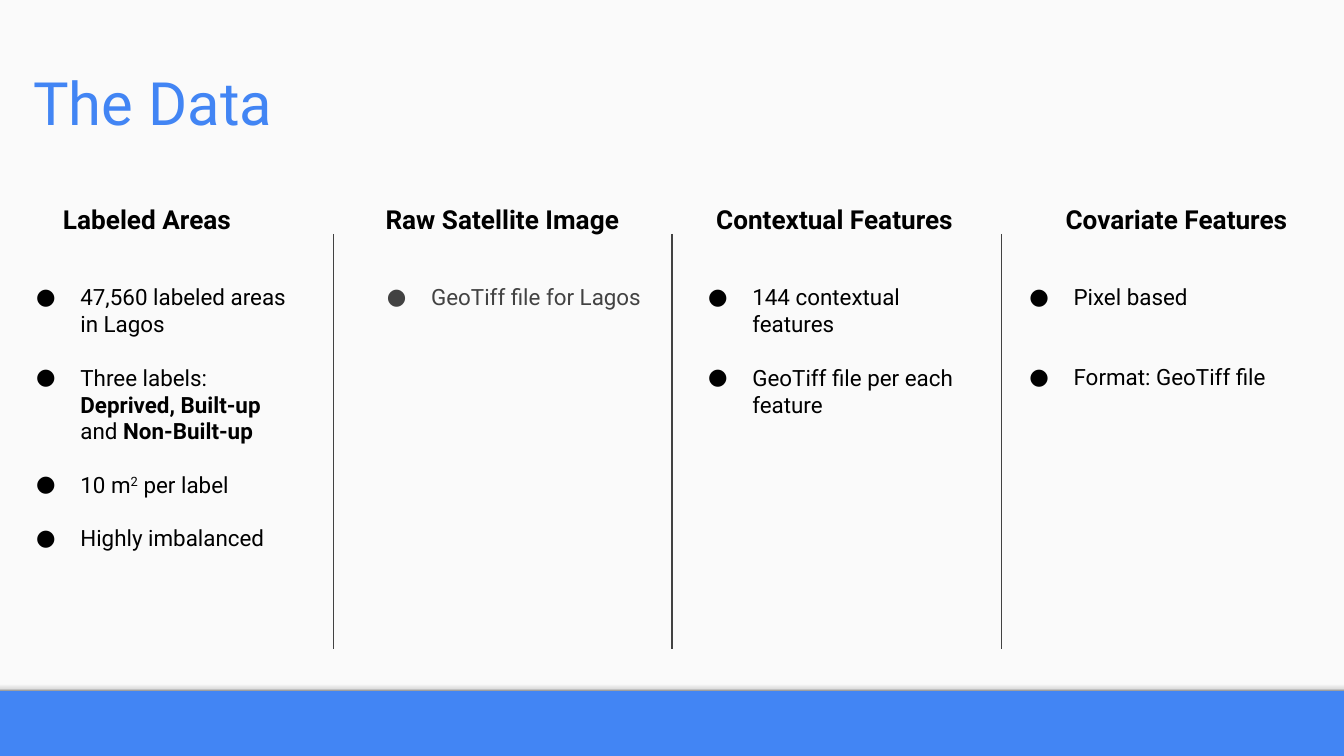
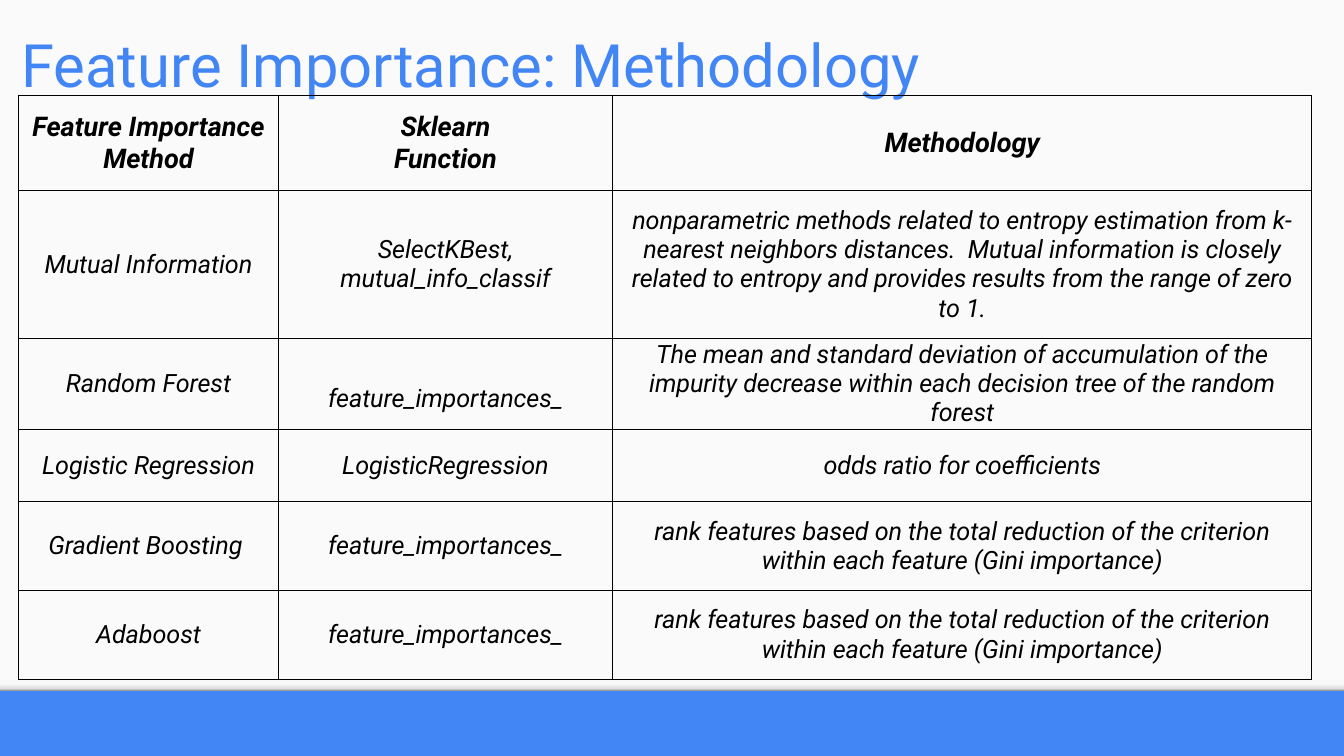
from lxml.etree import SubElement
from pptx import Presentation
from pptx.dml.color import RGBColor
from pptx.enum.shapes import MSO_CONNECTOR, MSO_SHAPE
from pptx.enum.text import MSO_ANCHOR, PP_ALIGN
from pptx.oxml import parse_xml
from pptx.oxml.ns import nsdecls, qn
from pptx.util import Inches, Pt

FONT = "Roboto"
BLUE = RGBColor(0x42, 0x85, 0xF4)
PAPER = RGBColor(0xFA, 0xFA, 0xFA)
BLACK = RGBColor(0, 0, 0)
GRAY = RGBColor(0x42, 0x42, 0x42)
SHADE_STOPS = [(0, "F9F9F9"), (36, "F9F9F9"), (80, "DEDEDE"), (100, "999999")]
SLIDE_WIDTH = 10
SLIDE_HEIGHT = SLIDE_WIDTH * 9 / 16
LIST_SIZE = 12
LINE_GAP = 14.2

DIVIDERS = [2.48, 5, 7.45]
COLUMNS = [
    ("Labeled Areas", 0.37, 1.8, 0, 2.63, BLACK, LINE_GAP, [
        [("47,560 labeled areas in Lagos", "")],
        [("Three labels: ", ""), ("Deprived, Built-up ", "bold"),
         ("and", ""), (" Non-Built-up", "bold")],
        [("10 m", ""), ("2", "super"), (" per label", "")],
        [("Highly imbalanced", "")],
    ]),
    ("Raw Satellite Image", 2.77, 1.99, 2.61, 0.81, GRAY, LINE_GAP, [
        [("GeoTiff file for Lagos", "")],
    ]),
    ("Contextual Features", 5.23, 1.99, 5, 1.62, BLACK, LINE_GAP, [
        [("144 contextual features", "")],
        [("GeoTiff file per each feature", "")],
    ]),
    ("Covariate Features", 7.83, 1.99, 7.39, 1.41, BLACK, 2 * LINE_GAP, [
        [("Pixel based", "")],
        [("Format: GeoTiff file", "")],
    ]),
]

GINI_RANKING = ("rank features based on the total reduction of the criterion "
                "within each feature (Gini importance)")
METHODS = [
    ("Feature Importance Method", "Sklearn\nFunction", "Methodology"),
    ("Mutual Information", "SelectKBest,\nmutual_info_classif",
     "nonparametric methods related to entropy estimation from k-nearest "
     "neighbors distances.  Mutual information is closely related to entropy "
     "and provides results from the range of zero to 1."),
    ("Random Forest", "feature_importances_",
     "The mean and standard deviation of accumulation of the impurity decrease "
     "within each decision tree of the random forest"),
    ("Logistic Regression", "LogisticRegression", "odds ratio for coefficients"),
    ("Gradient Boosting ", "feature_importances_", GINI_RANKING),
    ("Adaboost", "feature_importances_", GINI_RANKING),
]
METHOD_WIDTHS = [1.93, 2.49, 5.2]
METHOD_HEIGHTS = [0.71, 1.1, 0.66, 0.54, 0.66, 0.66]
LOWERED_CELL = (2, 1)


def style(paragraph, size, color, bold=False, italic=False):
    font = paragraph.font
    font.name, font.size, font.bold, font.italic = FONT, Pt(size), bold, italic
    font.color.rgb = color


def add_text_frame(slide, left, top, width, height):
    frame = slide.shapes.add_textbox(
        Inches(left), Inches(top), Inches(width), Inches(height)).text_frame
    frame.word_wrap = True
    frame.margin_left = frame.margin_right = Inches(0.1)
    frame.margin_top = frame.margin_bottom = Inches(0.1)
    return frame


def add_band(slide, top, height):
    band = slide.shapes.add_shape(
        MSO_SHAPE.RECTANGLE, 0, Inches(top), Inches(SLIDE_WIDTH), Inches(height))
    band.shadow.inherit = False
    band.line.fill.background()
    band.fill.solid()
    band.fill.fore_color.rgb = PAPER
    return band


def shade(band):
    stops = "".join(
        f'<a:gs pos="{position * 1000}"><a:srgbClr val="{color}"/></a:gs>'
        for position, color in SHADE_STOPS)
    gradient = parse_xml(
        f'<a:gradFill {nsdecls("a")}><a:gsLst>{stops}</a:gsLst>'
        '<a:lin ang="5400000" scaled="0"/></a:gradFill>')
    properties = band._element.spPr
    properties.replace(properties.find(qn("a:solidFill")), gradient)


def add_titled_slide(deck, title, left, top):
    slide = deck.slides.add_slide(deck.slide_layouts[6])
    slide.background.fill.solid()
    slide.background.fill.fore_color.rgb = BLUE
    add_band(slide, 0, 5.14)
    shade(add_band(slide, 5.06, 0.08))
    frame = add_text_frame(slide, left, top, 8.99, 0.84)
    frame.vertical_anchor = MSO_ANCHOR.BOTTOM
    frame.text = title
    style(frame.paragraphs[0], 32, BLUE)
    return slide


def add_divider(slide, x):
    divider = slide.shapes.add_connector(
        MSO_CONNECTOR.STRAIGHT, Inches(x), Inches(1.74), Inches(x), Inches(4.83))
    divider.line.color.rgb = GRAY
    divider.line.width = Pt(0.75)
    SubElement(divider._element.spPr, qn("a:effectLst"))


def add_bullet(paragraph, color):
    properties = paragraph._p.get_or_add_pPr()
    properties.set("marL", str(Inches(0.5)))
    properties.set("indent", str(-Inches(0.33)))
    bullet_color = SubElement(properties, qn("a:buClr"))
    SubElement(bullet_color, qn("a:srgbClr"), val=str(color))
    SubElement(properties, qn("a:buSzPts"), val=str(LIST_SIZE * 100))
    SubElement(properties, qn("a:buFont"), typeface=FONT)
    SubElement(properties, qn("a:buChar"), char="●")


def add_bullet_list(slide, left, height, color, gap, items):
    frame = add_text_frame(slide, left, 2.01, 2.26, height)
    for index, item in enumerate(items):
        paragraph = frame.add_paragraph() if index else frame.paragraphs[0]
        if index:
            paragraph.space_before = Pt(gap)
        add_bullet(paragraph, color)
        style(paragraph, LIST_SIZE, color)
        for words, emphasis in item:
            run = paragraph.add_run()
            run.text = words
            if emphasis == "bold":
                run.font.bold = True
            elif emphasis == "super":
                run._r.get_or_add_rPr().set("baseline", "30000")


def add_borders(cell):
    properties = cell._tc.get_or_add_tcPr()
    for index, side in enumerate(("lnL", "lnR", "lnT", "lnB")):
        properties.insert(index, parse_xml(
            f'<a:{side} {nsdecls("a")} w="{Pt(0.5)}"><a:solidFill>'
            f'<a:srgbClr val="{BLACK}"/></a:solidFill></a:{side}>'))


def fill_cell(cell, text, is_header, is_lowered):
    cell.text = text
    cell.vertical_anchor = MSO_ANCHOR.MIDDLE
    cell.margin_left = cell.margin_right = Inches(0.07)
    cell.margin_top = Inches(0.22 if is_lowered else 0)
    cell.margin_bottom = 0
    cell.fill.background()
    add_borders(cell)
    for paragraph in cell.text_frame.paragraphs:
        paragraph.alignment = PP_ALIGN.CENTER
        style(paragraph, 14.5 if is_header else 13.5, BLACK, is_header, True)


def add_method_table(slide):
    table = slide.shapes.add_table(
        len(METHODS), len(METHOD_WIDTHS), Inches(0.14), Inches(0.71),
        Inches(sum(METHOD_WIDTHS)), Inches(sum(METHOD_HEIGHTS))).table
    table.first_row = table.horz_banding = False
    for column, width in zip(table.columns, METHOD_WIDTHS):
        column.width = Inches(width)
    for r, (height, texts) in enumerate(zip(METHOD_HEIGHTS, METHODS)):
        table.rows[r].height = Inches(height)
        for c, text in enumerate(texts):
            fill_cell(table.cell(r, c), text, r == 0, (r, c) == LOWERED_CELL)


def add_data_slide(deck):
    slide = add_titled_slide(deck, "The Data", 0.15, 0.28)
    for x in DIVIDERS:
        add_divider(slide, x)
    for heading, left, width, list_left, height, color, gap, items in COLUMNS:
        frame = add_text_frame(slide, left, 1.41, width, 0.44)
        frame.text = heading
        style(frame.paragraphs[0], 14, BLACK, bold=True)
        add_bullet_list(slide, list_left, height, color, gap, items)


def main():
    deck = Presentation()
    deck.slide_width = Inches(SLIDE_WIDTH)
    deck.slide_height = Inches(SLIDE_HEIGHT)
    add_data_slide(deck)
    add_method_table(
        add_titled_slide(deck, "Feature Importance: Methodology", 0.06, 0))
    deck.save("out.pptx")


if __name__ == "__main__":
    main()
